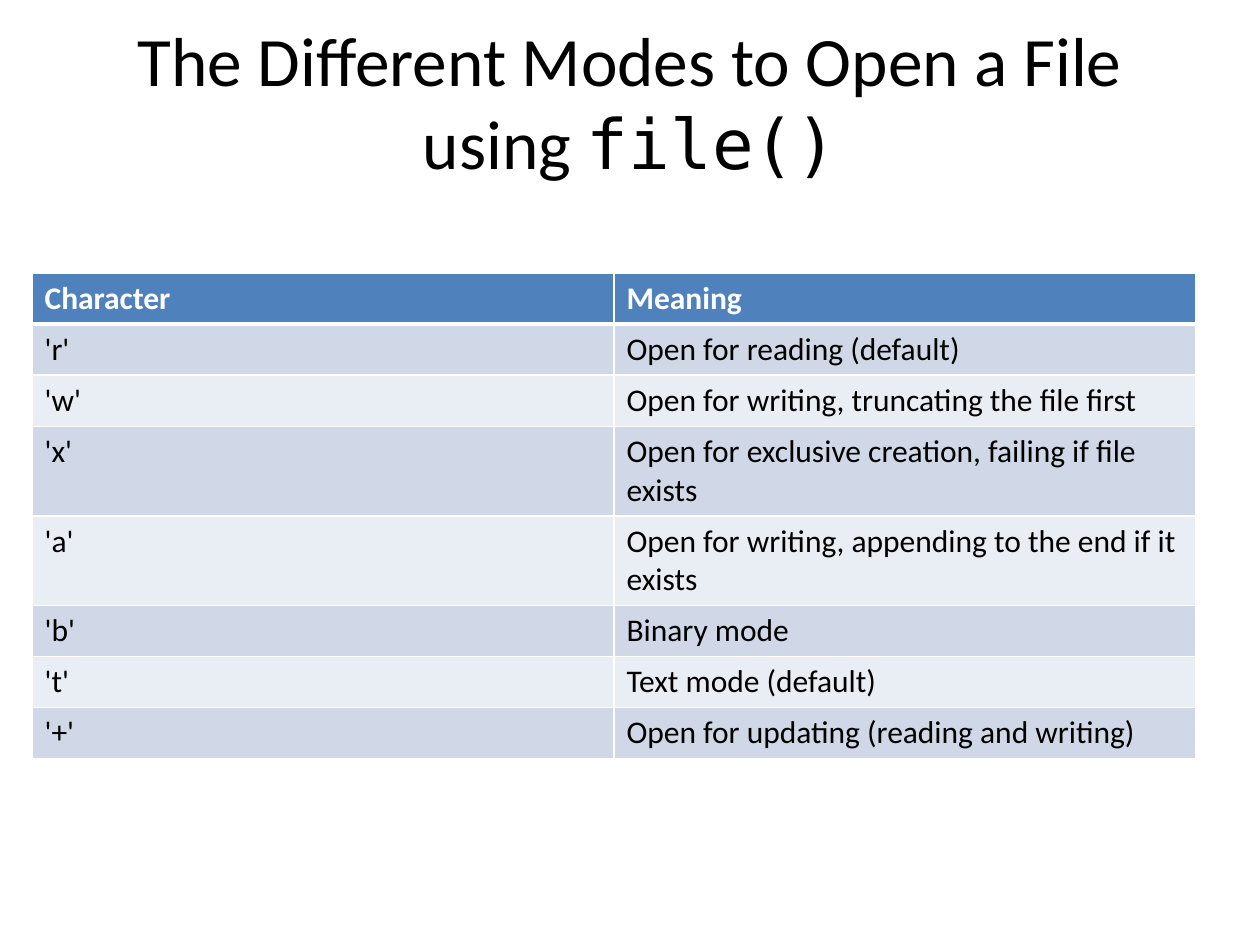
from dataclasses import dataclass

from lxml import etree
from pptx import Presentation
from pptx.dml.color import RGBColor
from pptx.enum.text import MSO_ANCHOR, MSO_AUTO_SIZE, PP_ALIGN
from pptx.oxml.ns import qn
from pptx.util import Emu, Pt

CENTER = PP_ALIGN.CENTER
LEFT = PP_ALIGN.LEFT
MIDDLE = MSO_ANCHOR.MIDDLE
NO_FIT = MSO_AUTO_SIZE.NONE
SCALE = 914400 // 126


@dataclass(frozen=True)
class Theme:
    font: str = "Calibri"
    mono: str = "DejaVu Sans Mono"
    title: float = 39.6
    body: float = 18
    ink: str = "000000"
    white: str = "FFFFFF"
    head: str = "4F81BD"
    bands: tuple[str, str] = ("D0D8E8", "E9EDF4")
    thin: float = 1
    thick: float = 3


@dataclass(frozen=True)
class Mode:
    char: str
    meaning: str


THEME = Theme()
MODES = [
    Mode("Character", "Meaning"),
    Mode("'r'", "Open for reading (default)"),
    Mode("'w'", "Open for writing, truncating the file first"),
    Mode("'x'", "Open for exclusive creation, failing if file exists"),
    Mode("'a'", "Open for writing, appending to the end if it exists"),
    Mode("'b'", "Binary mode"),
    Mode("'t'", "Text mode (default)"),
    Mode("'+'", "Open for updating (reading and writing)"),
]


def px(count: int) -> Emu:
    return Emu(count * SCALE)


def write(para, text: str, *, size: float = THEME.body, font: str = THEME.font,
          color: str = THEME.ink, bold: bool = False, align=LEFT) -> None:
    para.alignment = align
    run = para.add_run()
    run.text = text
    run.font.size = Pt(size)
    run.font.name = font
    run.font.bold = bold
    run.font.color.rgb = RGBColor.from_string(color)


def edge(cell, side: str, width: float) -> None:
    line = etree.SubElement(cell._tc.get_or_add_tcPr(), qn(f"a:ln{side}"), w=str(Pt(width)))
    fill = etree.SubElement(line, qn("a:solidFill"))
    etree.SubElement(fill, qn("a:srgbClr"), val=THEME.white)


def draw_cell(cell, text: str, row: int, last: int) -> None:
    head = row == 0
    widths = {
        "L": THEME.thin,
        "R": THEME.thin,
        "T": THEME.thick if row == 1 else THEME.thin,
        "B": THEME.thick if head else THEME.thin,
    }
    for side, width in widths.items():
        edge(cell, side, width)
    cell.fill.solid()
    shade = THEME.head if head else THEME.bands[(row - 1) % 2]
    cell.fill.fore_color.rgb = RGBColor.from_string(shade)
    write(cell.text_frame.paragraphs[0], text, bold=head,
          color=THEME.white if head else THEME.ink)


def draw_title(slide) -> None:
    title = slide.shapes.title
    title.left, title.top, title.width, title.height = map(px, (63, 21, 1134, 158))
    frame = title.text_frame
    frame.auto_size = NO_FIT
    frame.vertical_anchor = MIDDLE
    para = frame.paragraphs[0]
    write(para, "The Different Modes to Open a File using ", size=THEME.title, align=CENTER)
    write(para, "file()", size=THEME.title, font=THEME.mono, align=CENTER)


def draw_table(slide) -> None:
    count = len(MODES)
    table = slide.shapes.add_table(count, 2, px(32), px(273), px(1164), px(51 * count)).table
    for row, mode in enumerate(MODES):
        table.rows[row].height = px(51)
        for col, text in enumerate((mode.char, mode.meaning)):
            draw_cell(table.cell(row, col), text, row, count - 1)


def main() -> None:
    deck = Presentation()
    deck.slide_width, deck.slide_height = px(1260), px(945)
    slide = deck.slides.add_slide(deck.slide_layouts[5])
    draw_title(slide)
    draw_table(slide)
    deck.save("out.pptx")


main()
